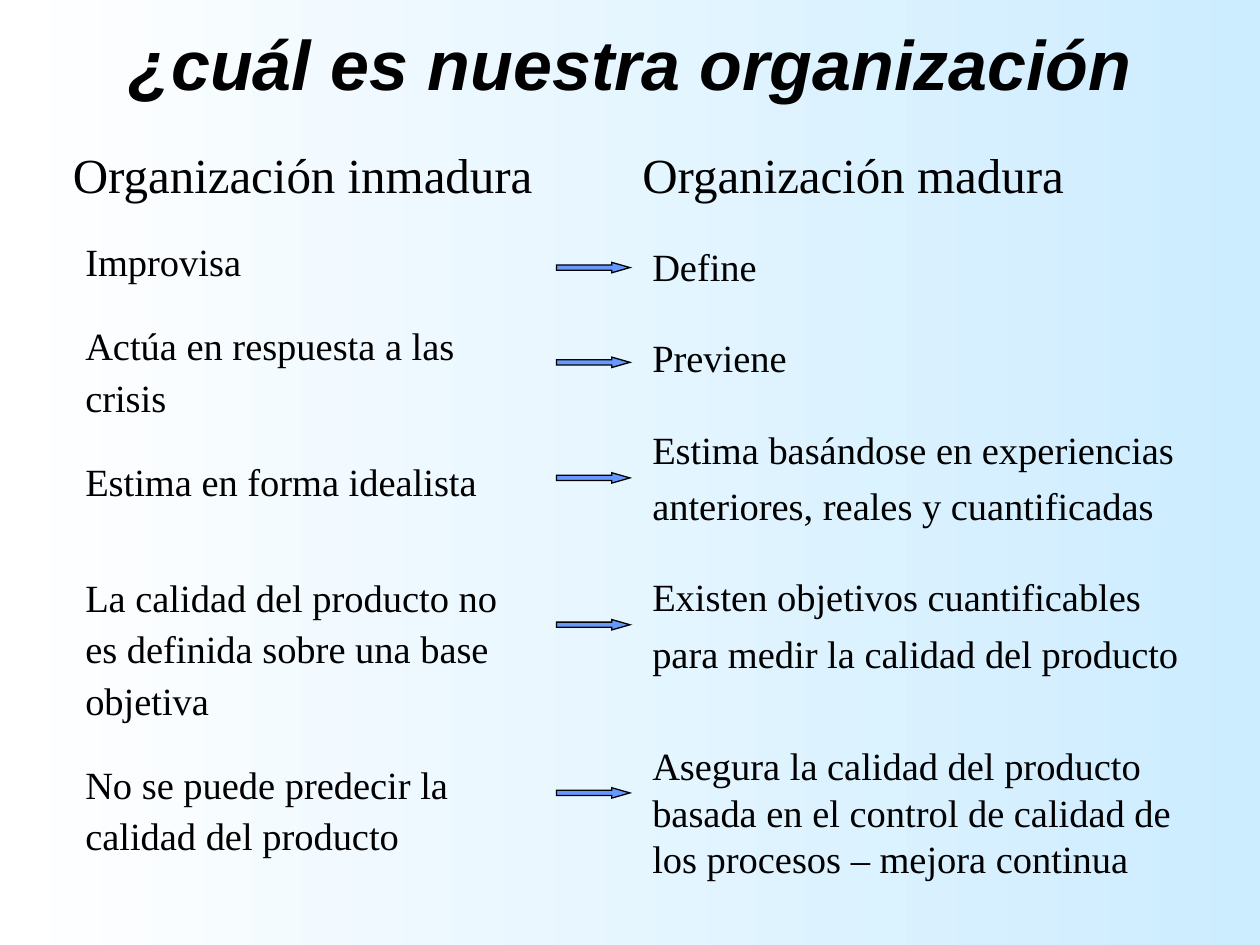
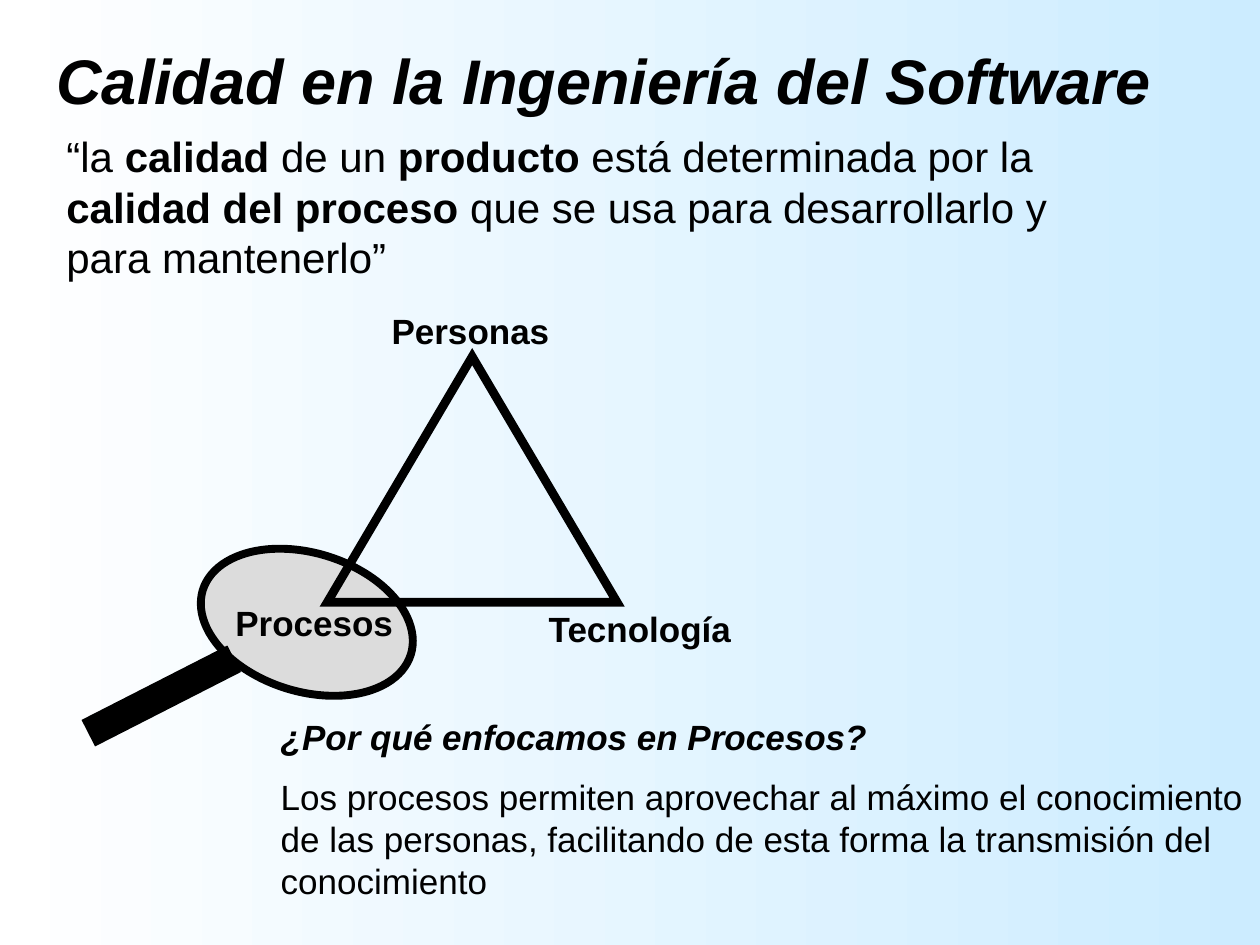
import pptx
import pptx.dml.color
import pptx.enum.shapes
import pptx.enum.text
import pptx.util
from lxml import etree

Cm = pptx.util.Cm
Pt = pptx.util.Pt
ALIGN = pptx.enum.text.PP_ALIGN
ANCHOR = pptx.enum.text.MSO_ANCHOR
SHAPE = pptx.enum.shapes.MSO_SHAPE
DRAWING = "{http://schemas.openxmlformats.org/drawingml/2006/main}"

COLORS = {
    "text": "000000",
    "sky": "CCECFF",
    "white": "FFFFFF",
    "arrow": "6699FF",
    "lens": "DCDCDC",
}
SANS = "Arial"
SERIF = "Times New Roman"

MATURITY_TITLE = "¿cuál es nuestra organización"
COLUMNS = [
    {
        "heading": "Organización inmadura",
        "heading_box": (1.22, 2.79, 10, 1.45),
        "body_box": (1.47, 4.78, 9.32, 13.87),
        "line_spacing": 0.9,
        "line_gap": 5.75,
        "group_gaps": [5.5, 24.2, 24.2, 42.6, 24.2],
        "groups": [
            ["Improvisa"],
            ["Actúa en respuesta a las", "crisis"],
            ["Estima en forma idealista"],
            ["La calidad del producto no", "es definida sobre una base", "objetiva"],
            ["No se puede predecir la", "calidad del producto"],
        ],
    },
    {
        "heading": "Organización madura",
        "heading_box": (12.7, 2.79, 10, 1.45),
        "body_box": (12.9, 4.78, 11.86, 13.64),
        "line_spacing": 1.0,
        "line_gap": 6,
        "group_gaps": [5.5, 25.7, 25.7, 25.7, 37.7],
        "groups": [
            ["Define"],
            ["Previene"],
            ["Estima basándose en experiencias", "anteriores, reales y cuantificadas"],
            ["Existen objetivos cuantificables", "para medir la calidad del producto"],
            ["Asegura la calidad del producto basada en el control de calidad de "
             "los procesos – mejora continua"],
        ],
    },
]
ARROW_TOPS = [5.29, 7.2, 9.53, 12.49, 15.88]

QUALITY_TITLE = "Calidad en la Ingeniería del Software"
QUOTE = [
    ("“la ", False),
    ("calidad", True),
    (" de un ", False),
    ("producto", True),
    (" está determinada por la ", False),
    ("calidad del proceso", True),
    (" que se usa para desarrollarlo y para mantenerlo”", False),
]
CORNERS = [
    ("Personas", (5.69, 6.12, 7.59, 1.27), ALIGN.CENTER),
    ("Tecnología", (9.4, 12.12, 5.59, 1.83), ALIGN.RIGHT),
    ("Procesos", (3.2, 12.01, 6.27, 1.65), ALIGN.CENTER),
]
QUESTION = "¿Por qué enfocamos en Procesos?"
ANSWER = (
    "Los procesos permiten aprovechar al máximo el conocimiento de las personas, "
    "facilitando de esta forma la transmisión del conocimiento"
)


def rgb(name):
    return pptx.dml.color.RGBColor.from_string(COLORS[name])


def lengths(values):
    return [Cm(value) for value in values]


def set_background(master):
    fill = master.background.fill
    fill.gradient()
    fill.gradient_angle = 180
    for stop, position, name in zip(fill.gradient_stops, (0, 1), ("sky", "white")):
        stop.position = position
        stop.color.rgb = rgb(name)


def add_frame(slide, box, anchor=ANCHOR.TOP):
    frame = slide.shapes.add_textbox(*lengths(box)).text_frame
    frame.word_wrap = True
    frame.vertical_anchor = anchor
    return frame


def style(paragraph, size, font=SANS, bold=False, italic=False, align=ALIGN.LEFT):
    paragraph.alignment = align
    paragraph.font.name = font
    paragraph.font.size = Pt(size)
    paragraph.font.bold = bold
    paragraph.font.italic = italic
    paragraph.font.color.rgb = rgb("text")


def add_text(slide, text, box, size, anchor=ANCHOR.TOP, **look):
    paragraph = add_frame(slide, box, anchor).paragraphs[0]
    paragraph.text = text
    style(paragraph, size, **look)


def add_title(slide, text, box, size, align):
    add_text(slide, text, box, size, ANCHOR.MIDDLE, bold=True, italic=True, align=align)


def add_outlined(slide, kind, box, line_width, fill=None):
    shape = slide.shapes.add_shape(kind, *lengths(box))
    shape.shadow.inherit = False
    if fill:
        shape.fill.solid()
        shape.fill.fore_color.rgb = rgb(fill)
    else:
        shape.fill.background()
    shape.line.color.rgb = rgb("text")
    shape.line.width = Pt(line_width)
    miter = etree.SubElement(shape.line._get_or_add_ln(), DRAWING + "miter")
    miter.set("lim", "800000")
    return shape


def add_column(slide, column):
    frame = add_frame(slide, column["body_box"])
    lines = [
        (line, column["line_gap"] if index else group_gap)
        for group, group_gap in zip(column["groups"], column["group_gaps"])
        for index, line in enumerate(group)
    ]
    for index, (line, gap) in enumerate(lines):
        paragraph = frame.add_paragraph() if index else frame.paragraphs[0]
        paragraph.text = line
        paragraph.line_spacing = column["line_spacing"]
        paragraph.space_before = Pt(gap)
        style(paragraph, 22, SERIF)
    add_text(slide, column["heading"], column["heading_box"], 28, font=SERIF)


def build_maturity(slide):
    for column in COLUMNS:
        add_column(slide, column)
    for top in ARROW_TOPS:
        arrow = add_outlined(slide, SHAPE.RIGHT_ARROW, (11.22, top, 1.48, 0.21), 0.75, "arrow")
        arrow.adjustments[1] = 1.75
    add_title(slide, MATURITY_TITLE, (1.9, 0.42, 21.6, 1.7), 40, ALIGN.CENTER)


def add_magnifier_handle(slide):
    handle = slide.shapes.add_connector(
        pptx.enum.shapes.MSO_CONNECTOR.STRAIGHT, *lengths((4.72, 13.28, 1.78, 14.78))
    )
    handle.line.color.rgb = rgb("text")
    handle.line.width = Pt(17)
    etree.SubElement(handle._element.spPr, DRAWING + "effectLst")


def build_quality(slide):
    lens = add_outlined(slide, SHAPE.OVAL, (3.99, 11.15, 4.39, 2.79), 4.5, "lens")
    lens.rotation = 17.2
    add_outlined(slide, SHAPE.ISOSCELES_TRIANGLE, (6.6, 7.19, 5.84, 4.95), 5)
    for label, box, align in CORNERS:
        add_text(slide, label, box, 20, bold=True, align=align)
    add_magnifier_handle(slide)

    frame = add_frame(slide, (5.41, 14.3, 20.5, 4), ANCHOR.BOTTOM)
    question = frame.paragraphs[0]
    question.text = QUESTION
    style(question, 20, bold=True, italic=True)
    answer = frame.add_paragraph()
    answer.text = ANSWER
    answer.space_before = Pt(10)
    style(answer, 20)

    quote = add_frame(slide, (1.09, 2.51, 21.69, 3.3), ANCHOR.BOTTOM).paragraphs[0]
    style(quote, 24)
    for text, bold in QUOTE:
        run = quote.add_run()
        run.text = text
        run.font.bold = bold
    add_title(slide, QUALITY_TITLE, (0.89, 0, 24.51, 3.18), 36, ALIGN.LEFT)


def main():
    presentation = pptx.Presentation()
    presentation.slide_width = Cm(25.4)
    presentation.slide_height = Cm(19.05)
    set_background(presentation.slide_master)
    blank = presentation.slide_layouts[6]
    for build in (build_maturity, build_quality):
        build(presentation.slides.add_slide(blank))
    presentation.save("out.pptx")


if __name__ == "__main__":
    main()
